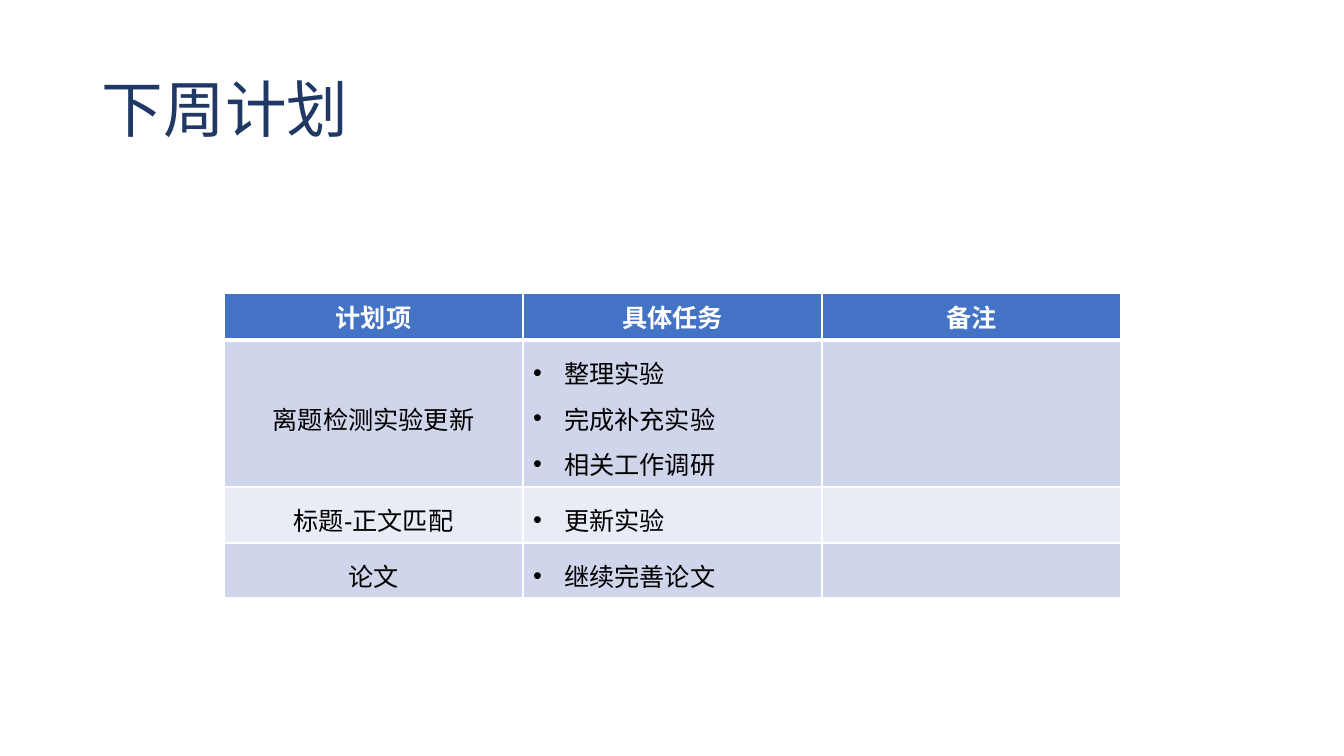
from lxml.etree import SubElement
from pptx import Presentation
from pptx.dml.color import RGBColor
from pptx.enum.text import MSO_ANCHOR, PP_ALIGN
from pptx.oxml.ns import qn
from pptx.util import Emu, Pt

EMU_PER_PX = 12192000 / 1344
COLORS = {
    "title": "203864",
    "header": "4472C4",
    "band_dark": "CFD5EA",
    "band_light": "E9EBF5",
    "white": "FFFFFF",
    "black": "000000",
}
HEADERS = ["计划项", "具体任务", "备注"]
PLANS = [
    ("离题检测实验更新", ["整理实验", "完成补充实验", "相关工作调研"]),
    ("标题-正文匹配", ["更新实验"]),
    ("论文", ["继续完善论文"]),
]
ROW_HEIGHTS = [47, 147, 56, 55]
COLUMN_WIDTH = 299
BULLET_INDENT = 31


def px(length):
    return Emu(round(length * EMU_PER_PX))


def color(name):
    return RGBColor.from_string(COLORS[name])


def add_run(paragraph, text, size, font_name, color_name, bold=False):
    run = paragraph.add_run()
    run.text = text
    run.font.size = Pt(size)
    run.font.name = font_name
    run.font.bold = bold
    run.font.color.rgb = color(color_name)


def add_title(slide, text):
    frame = slide.shapes.add_textbox(px(92), px(40), px(1159), px(146)).text_frame
    frame.word_wrap = True
    frame.vertical_anchor = MSO_ANCHOR.MIDDLE
    paragraph = frame.paragraphs[0]
    paragraph.line_spacing = 0.9
    add_run(paragraph, text, 44, "Times New Roman", "title")


def add_bullet(paragraph):
    properties = paragraph._p.get_or_add_pPr()
    properties.set("marL", str(px(BULLET_INDENT)))
    properties.set("indent", str(-px(BULLET_INDENT)))
    SubElement(properties, qn("a:buFont"), typeface="Arial")
    SubElement(properties, qn("a:buChar"), char="•")


def style_cell(cell, fill_name, top=1, bottom=1):
    """Set white borders, with top and bottom widths in points, and the fill."""
    properties = cell._tc.get_or_add_tcPr()
    for side, width in (("L", 1), ("R", 1), ("T", top), ("B", bottom)):
        line = SubElement(properties, qn(f"a:ln{side}"), w=str(Pt(width)))
        fill = SubElement(line, qn("a:solidFill"))
        SubElement(fill, qn("a:srgbClr"), val=COLORS["white"])
    cell.fill.solid()
    cell.fill.fore_color.rgb = color(fill_name)
    cell.vertical_anchor = MSO_ANCHOR.MIDDLE


def write_cell(cell, lines, color_name="black", bold=False, spacing=1.25, bullets=False):
    frame = cell.text_frame
    for index, text in enumerate(lines):
        paragraph = frame.add_paragraph() if index else frame.paragraphs[0]
        paragraph.line_spacing = spacing
        if bullets:
            add_bullet(paragraph)
        else:
            paragraph.alignment = PP_ALIGN.CENTER
        add_run(paragraph, text, 18, "Arial", color_name, bold)


def add_plan_table(slide):
    table = slide.shapes.add_table(
        len(ROW_HEIGHTS), len(HEADERS), px(224), px(293),
        px(COLUMN_WIDTH * len(HEADERS)), px(sum(ROW_HEIGHTS)),
    ).table
    for column in table.columns:
        column.width = px(COLUMN_WIDTH)
    for row, height in zip(table.rows, ROW_HEIGHTS):
        row.height = px(height)

    for column, header in enumerate(HEADERS):
        cell = table.cell(0, column)
        style_cell(cell, "header", bottom=3)
        write_cell(cell, [header], "white", bold=True, spacing=1.0)
    for row, (plan, tasks) in enumerate(PLANS, start=1):
        for column in range(len(HEADERS)):
            band = "band_dark" if row % 2 else "band_light"
            style_cell(table.cell(row, column), band, top=3 if row == 1 else 1)
        write_cell(table.cell(row, 0), [plan])
        write_cell(table.cell(row, 1), tasks, bullets=True)


def main():
    presentation = Presentation()
    presentation.slide_width = px(1344)
    presentation.slide_height = px(756)
    slide = presentation.slides.add_slide(presentation.slide_layouts[6])
    add_title(slide, "下周计划")
    add_plan_table(slide)
    presentation.save("out.pptx")


if __name__ == "__main__":
    main()
